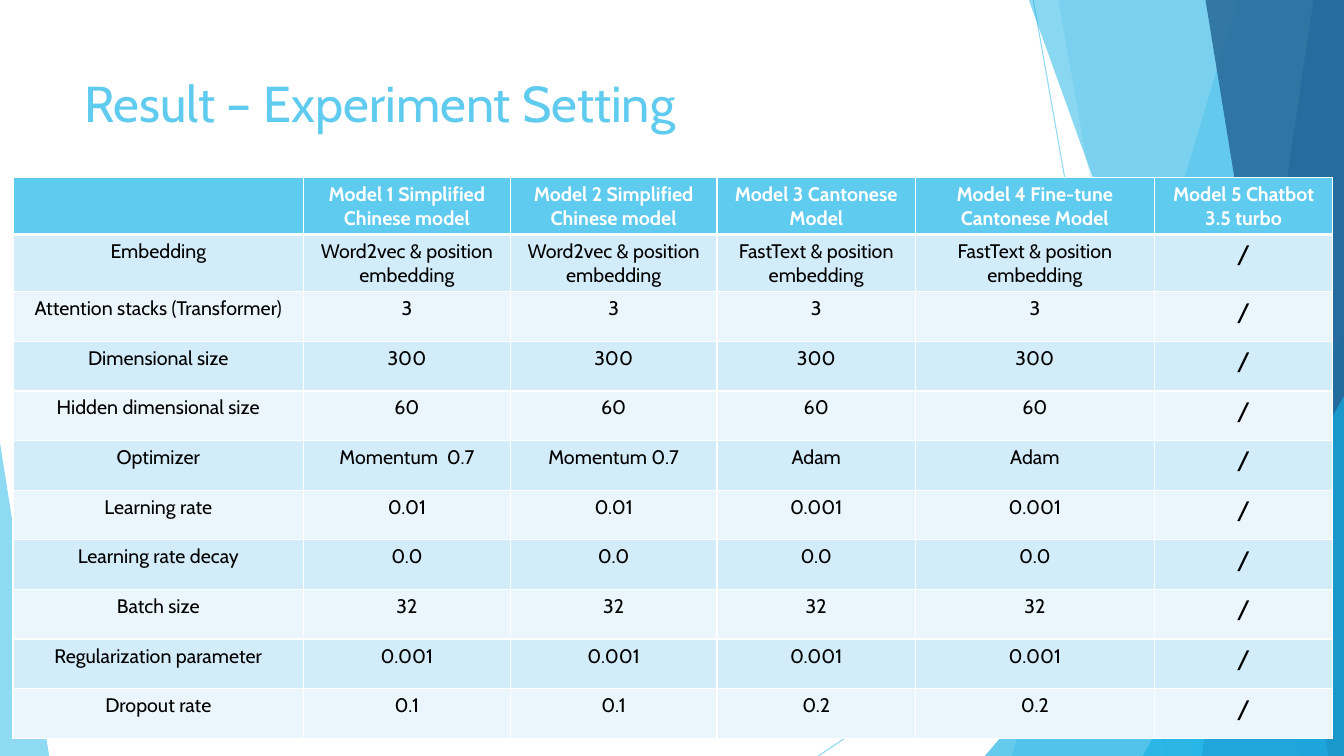
from collections import namedtuple

from lxml.etree import SubElement
from pptx import Presentation
from pptx.dml.color import RGBColor
from pptx.enum.shapes import MSO_CONNECTOR, MSO_SHAPE
from pptx.enum.text import MSO_ANCHOR, PP_ALIGN
from pptx.oxml import parse_xml
from pptx.oxml.ns import nsdecls, qn
from pptx.util import Cm, Pt

SKY = RGBColor(0x5F, 0xCB, 0xEF)
CYAN = RGBColor(0x17, 0xB0, 0xE4)
BLUE = RGBColor(0x2E, 0x83, 0xC3)
NAVY = RGBColor(0x22, 0x62, 0x92)
PALE = RGBColor(0xD2, 0xEC, 0xF9)
MIST = RGBColor(0xEA, 0xF6, 0xFC)
WHITE = RGBColor(0xFF, 0xFF, 0xFF)
BLACK = RGBColor(0, 0, 0)

FACE = "Cabin"
TITLE = dict(name=FACE, size=Pt(36), bold=False)
HEAD = dict(name=FACE, size=Pt(14), bold=True)
BODY = dict(name=FACE, size=Pt(14), bold=False)
SLASH = dict(name=FACE, size=Pt(18), bold=False)

Box = namedtuple("Box", "left top width height")
PAGE = Box(0, 0, 33.87, 19.05)

WIDTHS = [7.32, 5.21, 5.21, 5, 6.02, 4.5]
ROWS = [
    ["", "Model 1 Simplified Chinese model", "Model 2 Simplified Chinese model",
     "Model 3 Cantonese Model", "Model 4 Fine-tune Cantonese Model",
     "Model 5 Chatbot 3.5 turbo"],
    ["Embedding", "Word2vec & position embedding", "Word2vec & position embedding",
     "FastText & position embedding", "FastText & position embedding", "/"],
    ["Attention stacks (Transformer)", "3", "3", "3", "3", "/"],
    ["Dimensional size", "300", "300", "300", "300", "/"],
    ["Hidden dimensional size", "60", "60", "60", "60", "/"],
    ["Optimizer", "Momentum  0.7", "Momentum 0.7", "Adam", "Adam", "/"],
    ["Learning rate", "0.01", "0.01", "0.001", "0.001", "/"],
    ["Learning rate decay", "0.0", "0.0", "0.0", "0.0", "/"],
    ["Batch size", "32", "32", "32", "32", "/"],
    ["Regularization parameter", "0.001", "0.001", "0.001", "0.001", "/"],
    ["Dropout rate", "0.1", "0.1", "0.2", "0.2", "/"],
]


def style(font, form, color):
    for key, value in form.items():
        setattr(font, key, value)
    font.color.rgb = color


def fade(shape, alpha):
    """Make the shape's only colour opaque by alpha percent."""
    tint = next(shape._element.spPr.iter(qn("a:srgbClr")))
    SubElement(tint, qn("a:alpha")).set("val", str(alpha * 1000))


def paint(shape, color, alpha):
    shape.shadow.inherit = False
    shape.fill.solid()
    shape.fill.fore_color.rgb = color
    shape.line.fill.background()
    fade(shape, alpha)


def add_ray(slide, start, end):
    ray = slide.shapes.add_connector(
        MSO_CONNECTOR.STRAIGHT, *[Cm(n) for n in start + end])
    ray.line.color.rgb = SKY
    ray.line.width = Pt(0.75)
    fade(ray, 70)
    SubElement(ray._element.spPr, qn("a:effectLst"))


def add_shard(slide, box, head, foot, color, alpha):
    """Fill from a slanted left edge to the right side of the box."""
    right, base = box.left + box.width, box.top + box.height
    form = slide.shapes.build_freeform(Cm(box.left + head), Cm(box.top))
    form.add_line_segments([(Cm(x), Cm(y)) for x, y in (
        (right, box.top), (right, base), (box.left + foot, base))])
    paint(form.convert_to_shape(), color, alpha)


def add_wedge(slide, box, left, width, height, peak, color, alpha):
    """Stand a triangle on the bottom of the box."""
    wedge = slide.shapes.add_shape(
        MSO_SHAPE.ISOSCELES_TRIANGLE, Cm(box.left + left),
        Cm(box.top + box.height - height), Cm(width), Cm(height))
    wedge.adjustments[0] = peak
    paint(wedge, color, alpha)


def add_decor(slide, box):
    right, base = box.left + box.width, box.top + box.height
    add_ray(slide, (box.left + 26.04, box.top), (box.left + 29.41, base))
    add_ray(slide, (right, box.top + 10.24), (box.left + 20.62, base))
    add_shard(slide, box, 31.19, 25.5, SKY, 36)
    add_shard(slide, box, 26.67, 30.05, SKY, 20)
    add_wedge(slide, box, 24.82, 9.05, 10.59, 1, CYAN, 66)
    add_shard(slide, box, 25.93, 32.79, CYAN, 50)
    add_shard(slide, box, 33.1, 30.28, BLUE, 70)
    add_shard(slide, box, 30.38, 33.48, NAVY, 80)
    add_wedge(slide, box, 28.8, 5.07, 9.07, 1, CYAN, 66)
    add_wedge(slide, box, 0, 1.24, 7.9, 0, SKY, 70)


def add_title(slide, box, text):
    frame = slide.shapes.add_textbox(*[Cm(n) for n in box]).text_frame
    frame.word_wrap = True
    frame.vertical_anchor = MSO_ANCHOR.TOP
    frame.text = text
    style(frame.paragraphs[0].font, TITLE, SKY)


def add_edges(cell, row):
    """Rule the cell in white, thicker under the header row."""
    wide = {"T": row == 1, "B": row == 0}
    props = cell._tc.get_or_add_tcPr()
    for spot, side in enumerate("LRTB"):
        width = Pt(3 if wide.get(side) else 1)
        props.insert(spot, parse_xml(
            f'<a:ln{side} {nsdecls("a")} w="{width}"><a:solidFill>'
            f'<a:srgbClr val="{WHITE}"/></a:solidFill></a:ln{side}>'))


def add_grid(slide, box):
    table = slide.shapes.add_table(
        len(ROWS), len(WIDTHS), *[Cm(n) for n in box]).table
    for column, width in zip(table.columns, WIDTHS):
        column.width = Cm(width)
    for r, texts in enumerate(ROWS):
        table.rows[r].height = Cm(box.height / len(ROWS))
        for c, text in enumerate(texts):
            cell = table.cell(r, c)
            cell.text = text
            cell.fill.solid()
            cell.fill.fore_color.rgb = SKY if r == 0 else PALE if r % 2 else MIST
            add_edges(cell, r)
            para = cell.text_frame.paragraphs[0]
            para.alignment = PP_ALIGN.CENTER
            form = HEAD if r == 0 else SLASH if text == "/" else BODY
            style(para.font, form, BLACK if r else WHITE)


def main():
    deck = Presentation()
    deck.slide_width, deck.slide_height = Cm(PAGE.width), Cm(PAGE.height)
    slide = deck.slides.add_slide(deck.slide_layouts[6])
    add_decor(slide, PAGE)
    add_title(slide, Box(1.88, 1.7, 23.88, 3.66), "Result – Experiment Setting")
    add_grid(slide, Box(0.33, 4.47, sum(WIDTHS), 13.75))
    deck.save("out.pptx")


if __name__ == "__main__":
    main()
